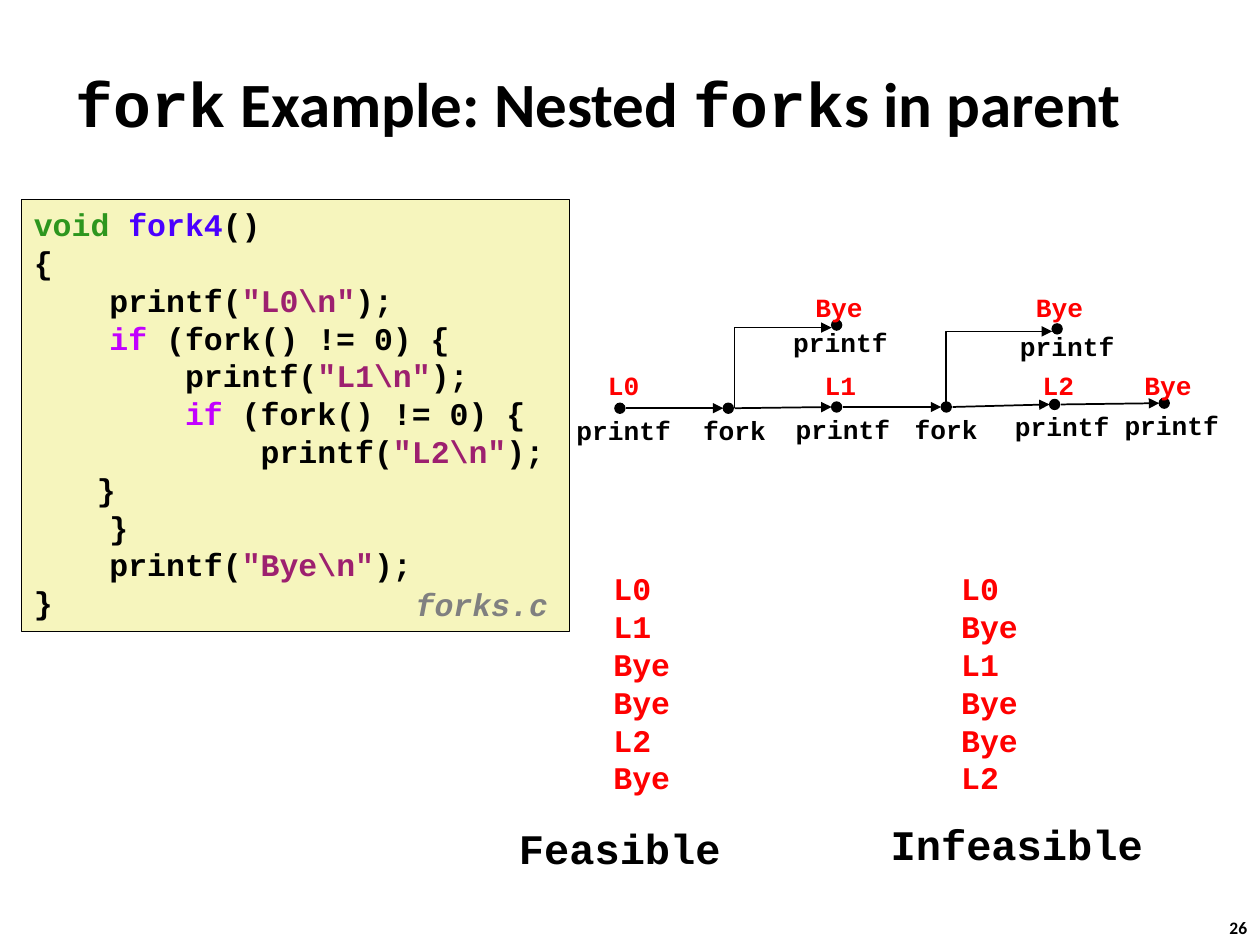
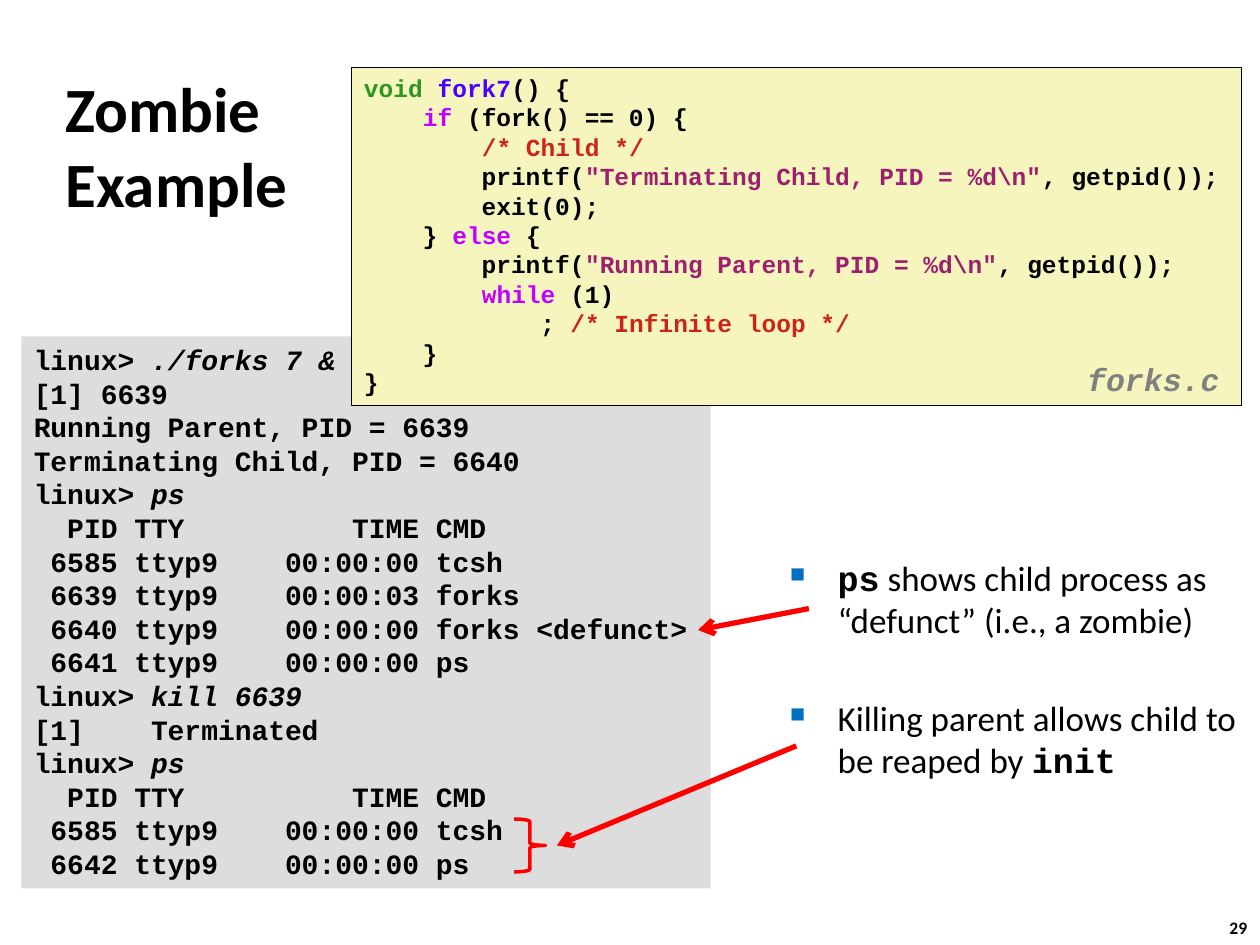
from dataclasses import dataclass
from functools import partial

from lxml.etree import SubElement
from pptx import Presentation
from pptx.dml.color import RGBColor
from pptx.enum.shapes import MSO_CONNECTOR as Connector, MSO_SHAPE as Preset
from pptx.enum.text import MSO_ANCHOR as Anchor, PP_ALIGN as Align
from pptx.oxml.ns import qn
from pptx.util import Inches, Pt

BLACK = RGBColor(0x00, 0x00, 0x00)
RED = RGBColor(0xFF, 0x00, 0x00)
GRAY = RGBColor(0x80, 0x80, 0x80)
CODE_FILL = RGBColor(0xF6, 0xF5, 0xBD)
TERMINAL_FILL = RGBColor(0xDD, 0xDD, 0xDD)
TYPE_GREEN = RGBColor(0x2D, 0x96, 0x1E)
NAME_BLUE = RGBColor(0x4A, 0x00, 0xFF)
KEYWORD_PURPLE = RGBColor(0xC2, 0x00, 0xFF)
STRING_PLUM = RGBColor(0x9D, 0x20, 0x6F)
COMMENT_RED = RGBColor(0xCB, 0x24, 0x18)
BULLET_BLUE = RGBColor(0x00, 0x70, 0xC0)
MONO, SANS = "Courier New", "Calibri"


@dataclass
class Run:
    text: str
    colour: RGBColor = BLACK
    italic: bool = False
    font: str = MONO
    bold: bool = True


datatype = partial(Run, colour=TYPE_GREEN)
function = partial(Run, colour=NAME_BLUE)
keyword = partial(Run, colour=KEYWORD_PURPLE)
string = partial(Run, colour=STRING_PLUM)
comment = partial(Run, colour=COMMENT_RED)
command = partial(Run, italic=True)
heading = partial(Run, font=SANS)
prose = partial(Run, font=SANS, bold=False)
output = partial(Run, colour=RED)


class Deck:
    def __init__(self):
        self.presentation = Presentation()
        self.presentation.slide_width = Inches(10)
        self.presentation.slide_height = Inches(7.5)

    def new_slide(self, number):
        blank = self.presentation.slide_layouts[6]
        self.shapes = self.presentation.slides.add_slide(blank).shapes
        self.text([[heading(number)]], 9.66, 7.23, 0.37, 0.27, 10)

    def add_lines(self, frame, lines, size, align=Align.LEFT):
        for index, line in enumerate(lines):
            paragraph = frame.add_paragraph() if index else frame.paragraphs[0]
            paragraph.alignment = align
            for part in line:
                part = Run(part) if isinstance(part, str) else part
                run = paragraph.add_run()
                run.text = part.text
                run.font.size = Pt(size)
                run.font.name = part.font
                run.font.bold = part.bold
                run.font.italic = part.italic
                run.font.color.rgb = part.colour

    def text(self, lines, left, top, width, height, size,
             align=Align.LEFT, wrap=False, anchor=Anchor.TOP):
        box = self.shapes.add_textbox(Inches(left), Inches(top), Inches(width), Inches(height))
        frame = box.text_frame
        frame.word_wrap = wrap
        frame.vertical_anchor = anchor
        self.add_lines(frame, lines, size, align)
        return frame

    def title(self, lines, left, top, width, height):
        self.text(lines, left, top, width, height, 36, wrap=True, anchor=Anchor.MIDDLE)

    def label(self, run, centre, top):
        self.text([[run]], centre - 0.5, top, 1, 0.35, 15, Align.CENTER)

    def preset(self, kind, left, top, width, height, fill=None, line=None, weight=0.75):
        shape = self.shapes.add_shape(kind, Inches(left), Inches(top), Inches(width), Inches(height))
        shape.shadow.inherit = False
        if fill is None:
            shape.fill.background()
        else:
            shape.fill.solid()
            shape.fill.fore_color.rgb = fill
        if line is None:
            shape.line.fill.background()
        else:
            shape.line.color.rgb = line
            shape.line.width = Pt(weight)
        return shape

    def panel(self, lines, left, top, width, height, size, fill, line=None):
        shape = self.preset(Preset.RECTANGLE, left, top, width, height, fill, line, 0.25)
        shape.text_frame.word_wrap = True
        shape.text_frame.vertical_anchor = Anchor.TOP
        self.add_lines(shape.text_frame, lines, size)

    def code(self, lines, left, top, width, height, size):
        self.panel(lines, left, top, width, height, size, CODE_FILL, BLACK)
        source = Run("forks.c", GRAY, italic=True)
        frame = self.text([[source]], left + width - 1.32, top + height - 0.39, 1.32, 0.39, 18)
        frame.paragraphs[0].line_spacing = 0.94

    def node(self, x, y):
        self.preset(Preset.OVAL, x - 0.04, y - 0.04, 0.08, 0.08, BLACK, BLACK)

    def arrow(self, start, end, colour=BLACK, weight=1, head="triangle"):
        connector = self.shapes.add_connector(
            Connector.STRAIGHT, *[Inches(value) for value in (*start, *end)])
        connector.line.color.rgb = colour
        connector.line.width = Pt(weight)
        properties = connector.element.spPr
        SubElement(properties.find(qn("a:ln")), qn("a:tailEnd"), type=head)
        SubElement(properties, qn("a:effectLst"))
        return connector

    def branch(self, start, end):
        run, rise = end[0] - start[0], start[1] - end[1]
        left = (start[0] + end[0] - rise) / 2
        top = (start[1] + end[1] - run) / 2
        properties = self.arrow((left, top), (left + rise, top + run)).element.spPr
        properties.find(qn("a:prstGeom")).set("prst", "bentConnector2")
        properties.find(qn("a:xfrm")).set("rot", str(270 * 60000))

    def bullets(self, lines, left, top, width, height, size, gap):
        frame = self.text(lines, left, top, width, height, size, wrap=True)
        for index, paragraph in enumerate(frame.paragraphs):
            properties = paragraph._p.get_or_add_pPr()
            properties.set("marL", str(Inches(0.38)))
            properties.set("indent", str(-Inches(0.38)))
            colour = SubElement(properties, qn("a:buClr"))
            SubElement(colour, qn("a:srgbClr"), val=str(BULLET_BLUE))
            SubElement(properties, qn("a:buSzPct"), val="60000")
            SubElement(properties, qn("a:buChar"), char="■")
            if index:
                paragraph.space_before = Pt(gap)


def nested_forks(deck):
    deck.new_slide("26")
    deck.title([["fork", heading(" Example: Nested "), "fork", heading("s in parent")]],
               0.5, 0.5, 8.78, 0.63)
    deck.code([
        [datatype("void "), function("fork4"), "()"],
        ["{"],
        ["    printf(", string('"L0\\n"'), ");"],
        ["    ", keyword("if"), " (fork() != 0) {"],
        ["        printf(", string('"L1\\n"'), ");"],
        ["        ", keyword("if"), " (fork() != 0) {"],
        ["            printf(", string('"L2\\n"'), ");"],
        ["\t}"],
        ["    }"],
        ["    printf(", string('"Bye\\n"'), ");"],
        ["}"],
    ], 0.17, 1.58, 4.35, 3.43, 18)

    parent_steps = [
        ("printf", "L0", 4.92, 3.24, 4.95),
        ("fork", None, 5.78, 3.24, 5.83),
        ("printf", "L1", 6.64, 3.23, 6.69),
        ("fork", None, 7.51, 3.23, 7.51),
        ("printf", "L2", 8.37, 3.21, 8.43),
        ("printf", "Bye", 9.24, 3.2, 9.3),
    ]
    for call, printed, x, y, call_centre in parent_steps:
        deck.node(x, y)
        deck.label(Run(call), call_centre, y)
        if printed:
            deck.label(output(printed), x + 0.03, 2.88)
    for (_, _, x, y, _), (_, _, next_x, next_y, _) in zip(parent_steps, parent_steps[1:]):
        deck.arrow((x + 0.05, y), (next_x - 0.04, next_y))

    child_steps = [
        ((5.83, 3.24), 6.64, 2.58, 6.67),
        ((7.51, 3.22), 8.39, 2.61, 8.47),
    ]
    for fork_point, x, y, call_centre in child_steps:
        deck.branch(fork_point, (x - 0.04, y + 0.02))
        deck.node(x, y)
        deck.label(Run("printf"), call_centre, y - 0.04)
        deck.label(output("Bye"), x + 0.02, 2.26)

    for order, left in (("L0 L1 Bye Bye L2 Bye", 4.77), ("L0 Bye L1 Bye Bye L2", 7.53)):
        deck.text([[output(word)] for word in order.split()], left, 4.47, 0.65, 1.92, 18)
    deck.text([["Feasible"]], 4.02, 6.48, 1.81, 0.5, 24)
    deck.text([["Infeasible"]], 6.97, 6.45, 2.22, 0.5, 24)


def zombie(deck):
    deck.new_slide("29")
    deck.title([[heading("Zombie")], [heading("Example")]], 0.42, 0.55, 2.19, 1.2)
    prompt = "linux> "
    process_header = ["  PID TTY          TIME CMD"]
    shell_process = [" 6585 ttyp9    00:00:00 tcsh"]
    deck.panel([
        [prompt, command("./forks 7 &")],
        ["[1] 6639"],
        ["Running Parent, PID = 6639"],
        ["Terminating Child, PID = 6640"],
        [prompt, command("ps")],
        process_header,
        shell_process,
        [" 6639 ttyp9    00:00:03 forks"],
        [" 6640 ttyp9    00:00:00 forks <defunct>"],
        [" 6641 ttyp9    00:00:00 ps"],
        [prompt, command("kill 6639")],
        ["[1]    Terminated"],
        [prompt, command("ps")],
        process_header,
        shell_process,
        [" 6642 ttyp9    00:00:00 ps"],
    ], 0.17, 2.67, 5.47, 4.38, 16, TERMINAL_FILL)
    deck.bullets([
        ["ps", prose(" shows child process as “defunct” (i.e., a zombie)")],
        [prose("Killing parent allows child to be reaped by "), "init"],
    ], 6.17, 4.37, 3.83, 2.88, 20, 32)
    deck.arrow((6.42, 4.83), (5.54, 5), RED, 3, "arrow")
    deck.arrow((6.32, 5.92), (4.42, 6.71), RED, 3, "arrow")
    deck.preset(Preset.RIGHT_BRACE, 4.08, 6.5, 0.25, 0.42, line=RED, weight=2)
    deck.code([
        [datatype("void "), function("fork7"), "() {"],
        ["    ", keyword("if"), " (fork() == 0) {"],
        ["        ", comment("/* Child */")],
        ["        printf(", string('"Terminating Child, PID = %d\\n"'), ", getpid());"],
        ["        exit(0);"],
        ["    } ", keyword("else"), " {"],
        ["        printf(", string('"Running Parent, PID = %d\\n"'), ", getpid());"],
        ["        ", keyword("while"), " (1)"],
        ["            ; ", comment("/* Infinite loop */")],
        ["    }"],
        ["}"],
    ], 2.79, 0.53, 7.06, 2.69, 14)


def main():
    deck = Deck()
    nested_forks(deck)
    zombie(deck)
    deck.presentation.save("out.pptx")


if __name__ == "__main__":
    main()
